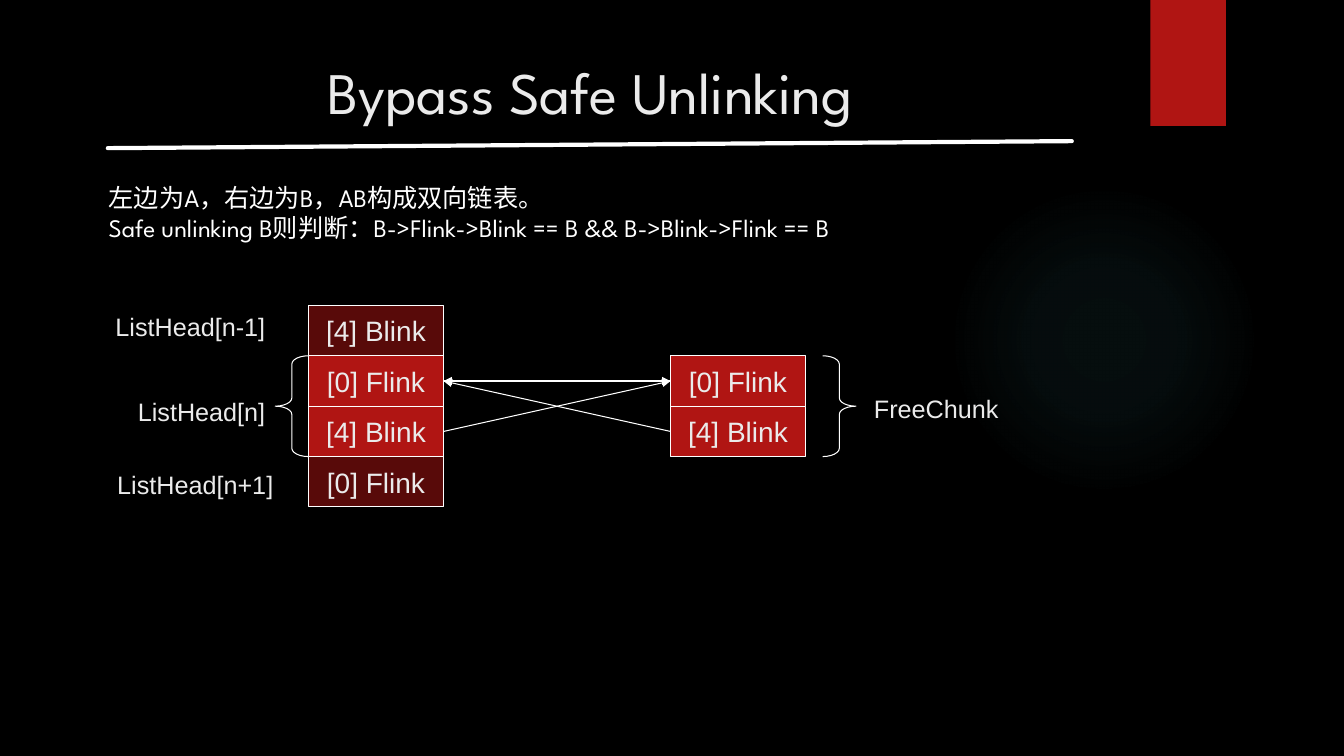
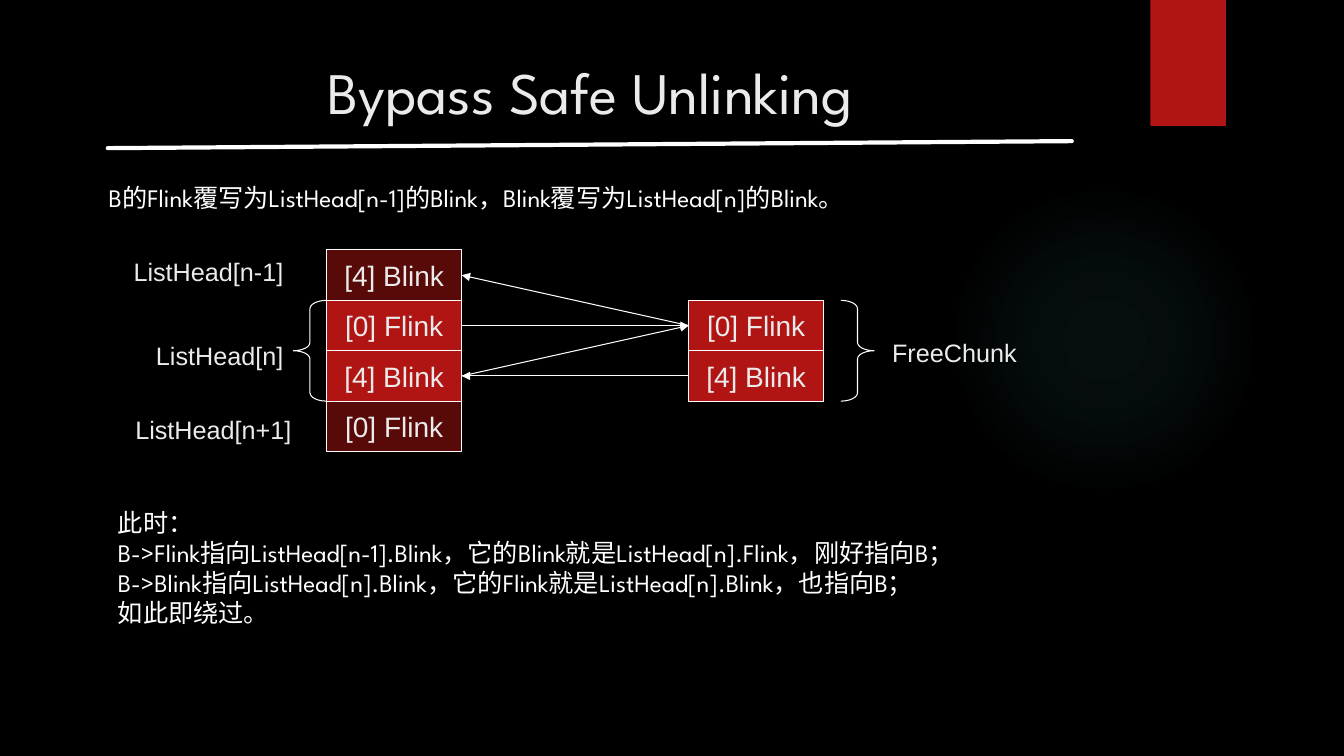
from lxml import etree
from pptx import Presentation
from pptx.dml.color import RGBColor
from pptx.enum.shapes import MSO_CONNECTOR, MSO_SHAPE
from pptx.enum.text import MSO_ANCHOR, MSO_AUTO_SIZE, PP_ALIGN
from pptx.oxml import parse_xml
from pptx.oxml.ns import nsdecls, qn
from pptx.util import Inches, Pt

STRAIGHT = MSO_CONNECTOR.STRAIGHT
RECTANGLE, OVAL = MSO_SHAPE.RECTANGLE, MSO_SHAPE.OVAL
LEFT_BRACE, RIGHT_BRACE = MSO_SHAPE.LEFT_BRACE, MSO_SHAPE.RIGHT_BRACE
TOP, MIDDLE = MSO_ANCHOR.TOP, MSO_ANCHOR.MIDDLE
LEFT, CENTER, RIGHT = PP_ALIGN.LEFT, PP_ALIGN.CENTER, PP_ALIGN.RIGHT
FIT_SHAPE, NO_FIT = MSO_AUTO_SIZE.SHAPE_TO_FIT_TEXT, MSO_AUTO_SIZE.NONE
LEFT_SIDE, RIGHT_SIDE = 1, 3

BLACK, WHITE, PALE, RED, TEAL = "000000", "FFFFFF", "EBEBEB", "B01513", "50B9C1"
HEADING_FONT, DIAGRAM_FONT = "League Spartan", "Arial"
TITLE = "Bypass Safe Unlinking"

CELL_WIDTH, CELL_HEIGHT = 1.34, 0.5
CHUNK_OFFSET = 3.59
BRACE_WIDTH, BRACE_GAP = 0.33, 0.17
LABEL_WIDTH, LABEL_HEIGHT = 1.83, 0.4
FLINK, BLINK = "[0] Flink", "[4] Blink"


def color(hex_string):
    return RGBColor.from_string(hex_string)


def box(left, top, width, height):
    return Inches(left), Inches(top), Inches(width), Inches(height)


def write(text_frame, text, font, size, hex_string, alignment):
    text_frame.text = text
    for paragraph in text_frame.paragraphs:
        paragraph.alignment = alignment
        for run in paragraph.runs:
            run.font.name = font
            run.font.size = Pt(size)
            run.font.color.rgb = color(hex_string)


def add_text(slide, text, area, font, hex_string, alignment=LEFT):
    text_frame = slide.shapes.add_textbox(*box(*area)).text_frame
    text_frame.word_wrap = True
    text_frame.auto_size = FIT_SHAPE
    write(text_frame, text, font, 18, hex_string, alignment)


def add_body(slide, lines, left, top):
    area = (left, top, 10.01, 0.1 + 0.3 * len(lines))
    add_text(slide, "\n".join(lines), area, HEADING_FONT, WHITE)


def add_shape(slide, preset, area, fill=None, outlined=False):
    shape = slide.shapes.add_shape(preset, *box(*area))
    shape.shadow.inherit = False
    if fill:
        shape.fill.solid()
        shape.fill.fore_color.rgb = color(fill)
    else:
        shape.fill.background()
    if outlined:
        shape.line.color.rgb = color(WHITE)
        shape.line.width = Pt(0.75)
    else:
        shape.line.fill.background()
    return shape


def add_line(slide, start, end, width):
    line = slide.shapes.add_connector(
        STRAIGHT, *(Inches(length) for length in (*start, *end)))
    line.line.color.rgb = color(WHITE)
    line.line.width = Pt(width)
    etree.SubElement(line._element.spPr, qn("a:effectLst"))
    return line


def add_glow(slide, area):
    """Draw a faint circle that fades out from its centre."""
    glow = add_shape(slide, OVAL, area)
    stops = "".join(
        f'<a:gs pos="{position}000"><a:srgbClr val="{TEAL}">'
        f'<a:alpha val="{alpha}000"/></a:srgbClr></a:gs>'
        for position, alpha in ((0, 7), (36, 6), (69, 0)))
    gradient = parse_xml(
        f'<a:gradFill {nsdecls("a")} rotWithShape="1"><a:gsLst>{stops}</a:gsLst>'
        '<a:path path="circle"><a:fillToRect l="50000" t="50000" r="50000" b="50000"/>'
        '</a:path></a:gradFill>')
    properties = glow._element.spPr
    properties.replace(properties.find(qn("a:noFill")), gradient)


def add_titled_slide(presentation):
    slide = presentation.slides.add_slide(presentation.slide_layouts[5])
    add_glow(slide, (9.41, 1.83, 3.08, 3.08))
    add_shape(slide, RECTANGLE, (11.41, 0, 0.75, 1.25), RED)
    title = slide.shapes.title
    title.left, title.top, title.width, title.height = box(0.71, 0.5, 10.29, 1.53)
    title.text_frame.vertical_anchor = TOP
    title.text_frame.auto_size = NO_FIT
    write(title.text_frame, TITLE, HEADING_FONT, 42, PALE, CENTER)
    underline = add_line(slide, (1.07, 1.47), (10.63, 1.4), 3)
    underline.line._ln.set("cap", "rnd")
    return slide


def add_cells(slide, left, top, names, faded=()):
    """Stack named cells; those whose index is in faded are half transparent."""
    cells = []
    for index, name in enumerate(names):
        area = (left, top + index * CELL_HEIGHT, CELL_WIDTH, CELL_HEIGHT)
        cell = add_shape(slide, RECTANGLE, area, RED, outlined=True)
        if index in faded:
            fill_color = cell._element.spPr.find(qn("a:solidFill"))[0]
            etree.SubElement(fill_color, qn("a:alpha"), val="50000")
        cell.text_frame.word_wrap = False
        cell.text_frame.vertical_anchor = MIDDLE
        write(cell.text_frame, name, DIAGRAM_FONT, 20, PALE, CENTER)
        cells.append(cell)
    return cells


def add_brace(slide, preset, left, top):
    brace = add_shape(slide, preset, (left, top, BRACE_WIDTH, 2 * CELL_HEIGHT),
                      outlined=True)
    brace.adjustments[0] = 0.25


def add_pointer(slide, start, start_side, end, end_side):
    pointer = add_line(slide, (0, 0), (1, 1), 0.75)
    pointer.begin_connect(start, start_side)
    pointer.end_connect(end, end_side)
    etree.SubElement(pointer.line._ln, qn("a:tailEnd"), type="triangle")


def add_linked_list(slide, left, top, list_to_chunk, chunk_to_list):
    """Draw list heads and the free chunk; pointers are pairs of cell indexes."""
    pair_top = top + CELL_HEIGHT
    chunk_left = left + CHUNK_OFFSET
    heads = add_cells(slide, left, top, (BLINK, FLINK, BLINK, FLINK), faded=(0, 3))
    chunk = add_cells(slide, chunk_left, pair_top, (FLINK, BLINK))

    add_brace(slide, LEFT_BRACE, left - BRACE_WIDTH, pair_top)
    brace_left = chunk_left + CELL_WIDTH + BRACE_GAP
    add_brace(slide, RIGHT_BRACE, brace_left, pair_top)

    for text, right, offset in (("ListHead[n-1]", left - 0.33, 0.01),
                                ("ListHead[n]", left - 0.33, 0.85),
                                ("ListHead[n+1]", left - 0.25, 1.58)):
        area = (right - LABEL_WIDTH, top + offset, LABEL_WIDTH, LABEL_HEIGHT)
        add_text(slide, text, area, DIAGRAM_FONT, PALE, RIGHT)
    area = (brace_left + 0.41, top + 0.82, LABEL_WIDTH, LABEL_HEIGHT)
    add_text(slide, "FreeChunk", area, DIAGRAM_FONT, PALE)

    for start, end in list_to_chunk:
        add_pointer(slide, heads[start], RIGHT_SIDE, chunk[end], LEFT_SIDE)
    for start, end in chunk_to_list:
        add_pointer(slide, chunk[start], LEFT_SIDE, heads[end], RIGHT_SIDE)


def add_check_slide(presentation):
    slide = add_titled_slide(presentation)
    add_linked_list(slide, 3.06, 3.03, ((1, 0), (2, 0)), ((0, 1), (1, 1)))
    add_body(slide, (
        "左边为A，右边为B，AB构成双向链表。",
        "Safe unlinking B则判断：B->Flink->Blink == B && B->Blink->Flink == B",
    ), 0.98, 1.76)


def add_bypass_slide(presentation):
    slide = add_titled_slide(presentation)
    add_body(slide, (
        "B的Flink覆写为ListHead[n-1]的Blink，Blink覆写为ListHead[n]的Blink。",
    ), 0.98, 1.76)
    add_linked_list(slide, 3.24, 2.48, ((1, 0), (2, 0)), ((0, 0), (1, 2)))
    add_body(slide, (
        "此时：",
        "B->Flink指向ListHead[n-1].Blink，它的Blink就是ListHead[n].Flink，刚好指向B；",
        "B->Blink指向ListHead[n].Blink，它的Flink就是ListHead[n].Blink，也指向B；",
        "如此即绕过。",
    ), 1.07, 4.98)


def main():
    presentation = Presentation()
    presentation.slide_width = Inches(13.33)
    presentation.slide_height = Inches(7.5)
    background = presentation.slide_master.background.fill
    background.solid()
    background.fore_color.rgb = color(BLACK)
    add_check_slide(presentation)
    add_bypass_slide(presentation)
    presentation.save("out.pptx")


if __name__ == "__main__":
    main()
